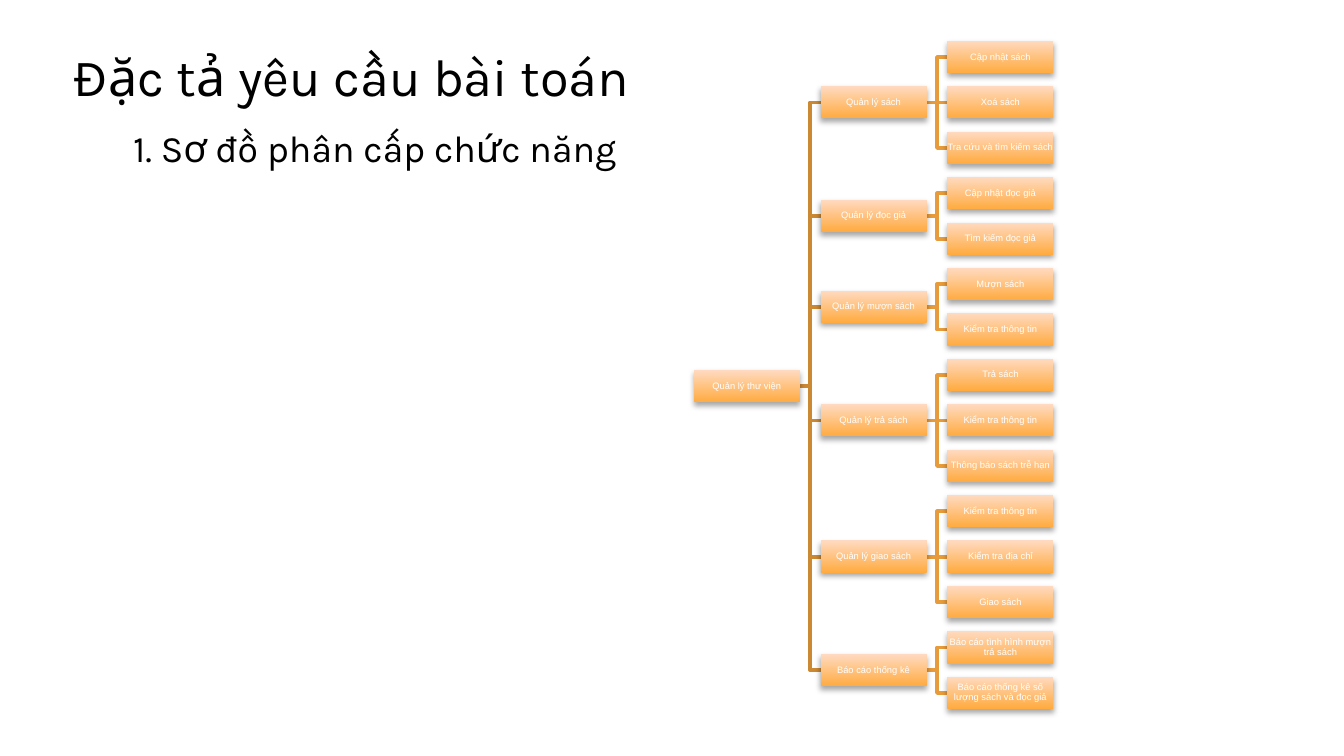
from lxml.etree import SubElement
from pptx import Presentation
from pptx.dml.color import RGBColor
from pptx.enum.shapes import MSO_CONNECTOR, MSO_SHAPE
from pptx.enum.text import MSO_ANCHOR, MSO_AUTO_SIZE, PP_ALIGN
from pptx.oxml.ns import qn
from pptx.util import Pt

BLACK = RGBColor(0x00, 0x00, 0x00)
WHITE = RGBColor(0xFF, 0xFF, 0xFF)
ORANGE = RGBColor(0xFF, 0xAB, 0x40)
PEACH = RGBColor(0xFF, 0xDA, 0xC0)
ROOT_LINE = RGBColor(0xCC, 0x89, 0x33)
BRANCH_LINE = RGBColor(0xE7, 0x9B, 0x3A)

ROOT = "Quản lý thư viện"
BRANCHES = {
    "Quản lý sách": ["Cập nhật sách", "Xoá sách", "Tra cứu và tìm kiếm sách"],
    "Quản lý đọc giả": ["Cập nhật đọc giả", "Tìm kiếm đọc giả"],
    "Quản lý mượn sách": ["Mượn sách", "Kiểm tra thông tin"],
    "Quản lý trả sách": ["Trả sách", "Kiểm tra thông tin", "Thông báo sách trễ hạn"],
    "Quản lý giao sách": ["Kiểm tra thông tin", "Kiểm tra địa chỉ", "Giao sách"],
    "Báo cáo thống kê": [
        "Báo cáo tình hình mượn trả sách",
        "Báo cáo thống kê số lượng sách và đọc giả",
    ],
}

NODE_WIDTH, NODE_HEIGHT = 56.8, 17.3
LINE_WIDTH = 2


def apply_format(target, values):
    for name, value in values.items():
        setattr(target, name, value)


def write_text(holder, text, inset, align, spacing, font, color):
    frame = holder.text_frame
    frame.text = text
    margins = {f"margin_{side}": Pt(inset) for side in ("left", "top", "right", "bottom")}
    apply_format(frame, {"word_wrap": True, "auto_size": MSO_AUTO_SIZE.NONE,
                         "vertical_anchor": MSO_ANCHOR.MIDDLE, **margins})
    paragraph = frame.paragraphs[0]
    apply_format(paragraph, {"alignment": align, "line_spacing": spacing,
                             "space_before": Pt(0)})
    run = paragraph.runs[0]
    apply_format(run.font, font)
    run.font.color.rgb = color
    return paragraph


def place_heading(placeholder, text, box, size):
    left, top, width, height = box
    apply_format(placeholder, {"left": Pt(left), "top": Pt(top),
                               "width": Pt(width), "height": Pt(height)})
    paragraph = write_text(placeholder, text, 7.2, PP_ALIGN.LEFT, 1.0,
                           {"name": "Karla", "size": Pt(size)}, BLACK)
    # No bullet and no hanging indent
    properties = paragraph._p.get_or_add_pPr()
    properties.set("marL", "0")
    properties.set("indent", "0")
    SubElement(properties, qn("a:buNone"))


def draw_link(shapes, start, end, color):
    (x1, y1), (x2, y2) = start, end
    if abs(y1 - y2) < 0.01:
        link = shapes.add_connector(MSO_CONNECTOR.STRAIGHT, Pt(x1), Pt(y1), Pt(x2), Pt(y2))
        SubElement(link._element.spPr, qn("a:effectLst"))
    else:
        middle = (x1 + x2) / 2
        outline = shapes.build_freeform(Pt(x1), Pt(y1))
        corners = [(middle, y1), (middle, y2), (x2, y2)]
        outline.add_line_segments([(Pt(x), Pt(y)) for x, y in corners], close=False)
        link = outline.convert_to_shape()
        link.fill.background()
        link.shadow.inherit = False
    link.line.color.rgb = color
    link.line.width = Pt(LINE_WIDTH)


def draw_node(shapes, text, left, center):
    node = shapes.add_shape(MSO_SHAPE.RECTANGLE, Pt(left), Pt(center - NODE_HEIGHT / 2),
                            Pt(NODE_WIDTH), Pt(NODE_HEIGHT))
    # Gradient from orange at the bottom to peach at the top
    node.fill.gradient()
    node.fill.gradient_angle = 90
    for stop, color in zip(node.fill.gradient_stops, (ORANGE, PEACH)):
        stop.color.rgb = color
    node.line.fill.background()
    # Soft shadow below
    node.shadow.inherit = False
    effects = node._element.spPr.find(qn("a:effectLst"))
    shadow = SubElement(effects, qn("a:outerShdw"), blurRad=str(Pt(3.1)),
                        dist=str(Pt(1.8)), dir="5400000", rotWithShape="0")
    shade = SubElement(shadow, qn("a:srgbClr"), val=str(BLACK))
    SubElement(shade, qn("a:alpha"), val="35000")
    write_text(node, text, 0, PP_ALIGN.CENTER, 0.9,
               {"name": "Arial", "size": Pt(5)}, WHITE)


def draw_tree(slide, box):
    left, top, width, height = box
    shapes = slide.shapes.add_group_shape().shapes
    leaf_count = sum(len(leaves) for leaves in BRANCHES.values())
    row_pitch = (height - NODE_HEIGHT) / (leaf_count - 1)
    column_pitch = (width - NODE_WIDTH) / 2
    root_x, branch_x, leaf_x = (left + i * column_pitch for i in range(3))

    # Each parent is centred between its first and last child
    nodes, branch_centers, row = [], [], 0
    for branch, leaves in BRANCHES.items():
        centers = [top + NODE_HEIGHT / 2 + (row + i) * row_pitch for i in range(len(leaves))]
        branch_center = (centers[0] + centers[-1]) / 2
        branch_centers.append(branch_center)
        nodes.append((branch, branch_x, branch_center))
        for leaf, center in zip(leaves, centers):
            nodes.append((leaf, leaf_x, center))
            draw_link(shapes, (branch_x + NODE_WIDTH, branch_center),
                      (leaf_x, center), BRANCH_LINE)
        row += len(leaves)

    root_center = (branch_centers[0] + branch_centers[-1]) / 2
    for center in branch_centers:
        draw_link(shapes, (root_x + NODE_WIDTH, root_center), (branch_x, center), ROOT_LINE)

    # Nodes lie over the links
    for node in [(ROOT, root_x, root_center), *nodes]:
        draw_node(shapes, *node)


def main():
    deck = Presentation()
    apply_format(deck, {"slide_width": Pt(720), "slide_height": Pt(405)})
    slide = deck.slides.add_slide(deck.slide_layouts[1])
    title, section = slide.placeholders
    place_heading(title, "Đặc tả yêu cầu bài toán", (32.4, 21.6, 608.4, 38.2), 28)
    place_heading(section, "1. Sơ đồ phân cấp chức năng", (64.1, 59.8, 289.4, 38.2), 20)
    draw_tree(slide, (371.7, 21.9, 192.7, 358))
    deck.save("out.pptx")


if __name__ == "__main__":
    main()
